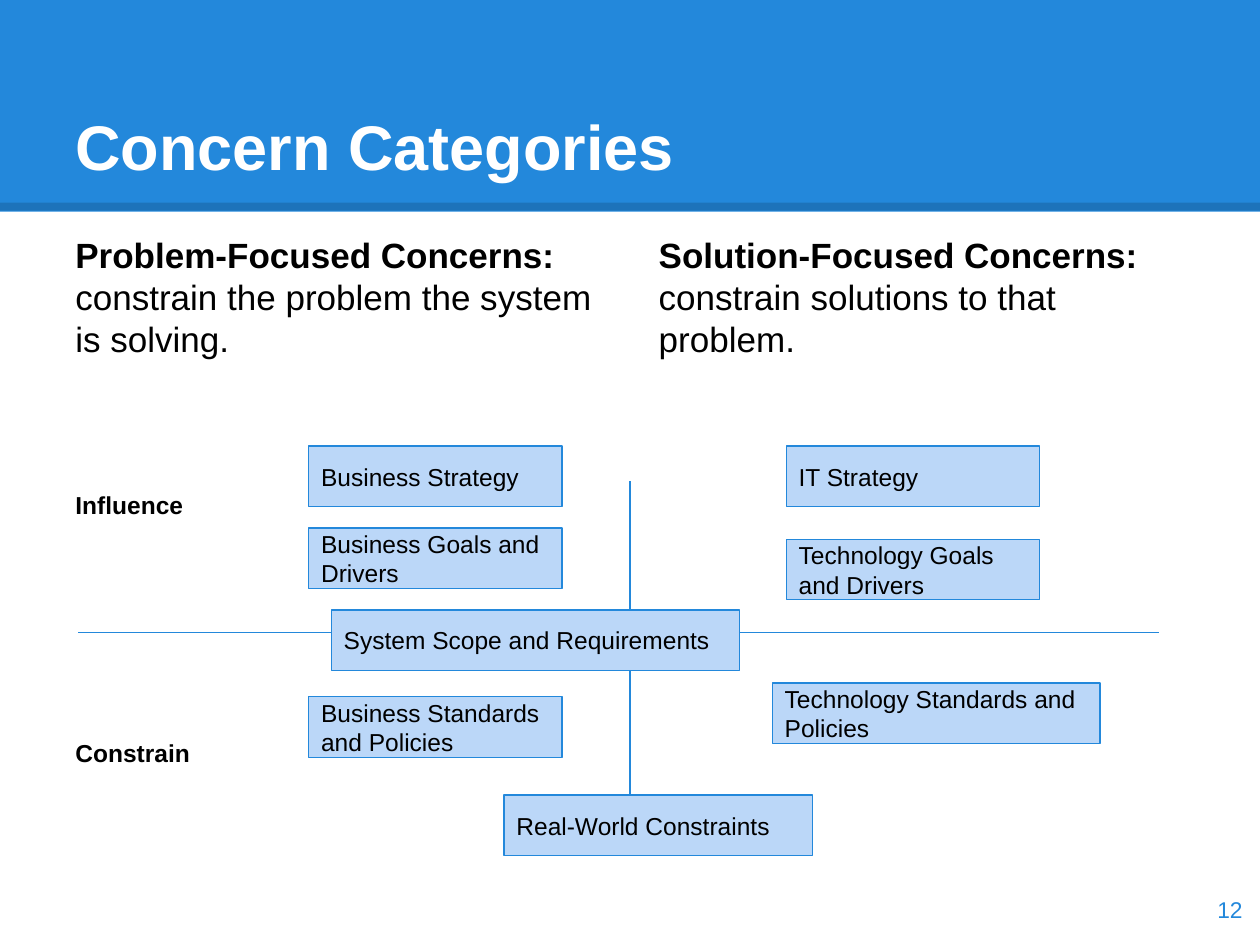
"""Build the Concern Categories slide."""
import pptx
import pptx.dml.color
import pptx.enum.shapes
import pptx.enum.text
import pptx.oxml.ns
import pptx.util
from lxml import etree

Inches = pptx.util.Inches
RGBColor = pptx.dml.color.RGBColor
Anchor = pptx.enum.text.MSO_ANCHOR
Align = pptx.enum.text.PP_ALIGN
qn = pptx.oxml.ns.qn

BLUE = RGBColor(0x23, 0x88, 0xDB)
PALE_BLUE = RGBColor(0xBB, 0xD7, 0xF8)
WHITE = RGBColor(0xFF, 0xFF, 0xFF)
BLACK = RGBColor(0x00, 0x00, 0x00)

TITLE = "Concern Categories"
PAGE_NUMBER = "12"
DEFINITIONS = [
    (0.5, "Problem-Focused Concerns:", " constrain the problem the system is solving."),
    (5.13, "Solution-Focused Concerns:", " constrain solutions to that problem."),
]
ROW_LABELS = [("Influence", 3.79), ("Constrain", 5.76)]
AXES = [((0.62, 5.02), (9.2, 5.02)), ((5, 3.82), (5, 6.58))]
CONCERN_HEIGHT = 0.48
CONCERNS = [
    ("System Scope and Requirements", 2.63, 4.84, 3.24),
    ("Business Strategy", 2.45, 3.54, 2.01),
    ("Business Goals and Drivers", 2.45, 4.19, 2.01),
    ("Business Standards and Policies", 2.45, 5.53, 2.01),
    ("Real-World Constraints", 4, 6.31, 2.45),
    ("IT Strategy", 6.24, 3.54, 2.01),
    ("Technology Goals and Drivers", 6.24, 4.28, 2.01),
    ("Technology Standards and Policies", 6.13, 5.42, 2.6),
]


def write(shape, parts, size, color=BLACK, anchor=Anchor.TOP, align=Align.LEFT):
    frame = shape.text_frame
    frame.word_wrap = True
    frame.vertical_anchor = anchor
    frame.margin_left = frame.margin_right = Inches(0.1)
    frame.margin_top = frame.margin_bottom = Inches(0.1)
    paragraph = frame.paragraphs[0]
    paragraph.alignment = align
    for words, bold in parts:
        run = paragraph.add_run()
        run.text = words
        run.font.name = "Arial"
        run.font.size = pptx.util.Pt(size)
        run.font.bold = bold
        run.font.color.rgb = color


def add_text(slide, box, parts, size, **style):
    write(slide.shapes.add_textbox(*map(Inches, box)), parts, size, **style)


def add_rectangle(slide, box, fill):
    rectangle = slide.shapes.add_shape(
        pptx.enum.shapes.MSO_SHAPE.RECTANGLE, *map(Inches, box))
    rectangle.shadow.inherit = False
    rectangle.fill.solid()
    rectangle.fill.fore_color.rgb = fill
    return rectangle


def add_line(slide, start, end, color, width):
    line = slide.shapes.add_connector(
        pptx.enum.shapes.MSO_CONNECTOR.STRAIGHT, *map(Inches, start + end))
    line.line.color.rgb = color
    line.line.width = pptx.util.Pt(width)
    etree.SubElement(line.element.spPr, qn("a:effectLst"))
    return line


def main():
    deck = pptx.Presentation()
    deck.slide_width, deck.slide_height = Inches(10), Inches(7.5)
    slide = deck.slides.add_slide(deck.slide_layouts[6])

    add_rectangle(slide, (0, 0, 10, 1.68), BLUE).line.fill.background()
    band_edge = add_line(slide, (0, 1.64), (10, 1.64), BLACK, 4.5)
    edge_color = band_edge.element.spPr.find(".//" + qn("a:srgbClr"))
    etree.SubElement(edge_color, qn("a:alpha"), val="15000")

    add_text(slide, (0.5, 0.3, 9, 1.25), [(TITLE, True)], 36,
             color=WHITE, anchor=Anchor.BOTTOM)
    for left, term, meaning in DEFINITIONS:
        add_text(slide, (left, 1.75, 4.37, 1.25), [(term, True), (meaning, False)], 20)
    add_text(slide, (9.36, 6.93, 0.6, 0.57), [(PAGE_NUMBER, False)], 13,
             color=BLUE, anchor=Anchor.MIDDLE, align=Align.RIGHT)
    for label, top in ROW_LABELS:
        add_text(slide, (0.5, top, 1.41, 0.27), [(label, True)], 14)

    for start, end in AXES:
        add_line(slide, start, end, BLUE, 0.75)
    for concern, left, top, width in CONCERNS:
        box = add_rectangle(slide, (left, top, width, CONCERN_HEIGHT), PALE_BLUE)
        box.line.color.rgb = BLUE
        box.line.width = pptx.util.Pt(0.75)
        write(box, [(concern, False)], 14, anchor=Anchor.MIDDLE)

    deck.save("out.pptx")


if __name__ == "__main__":
    main()
